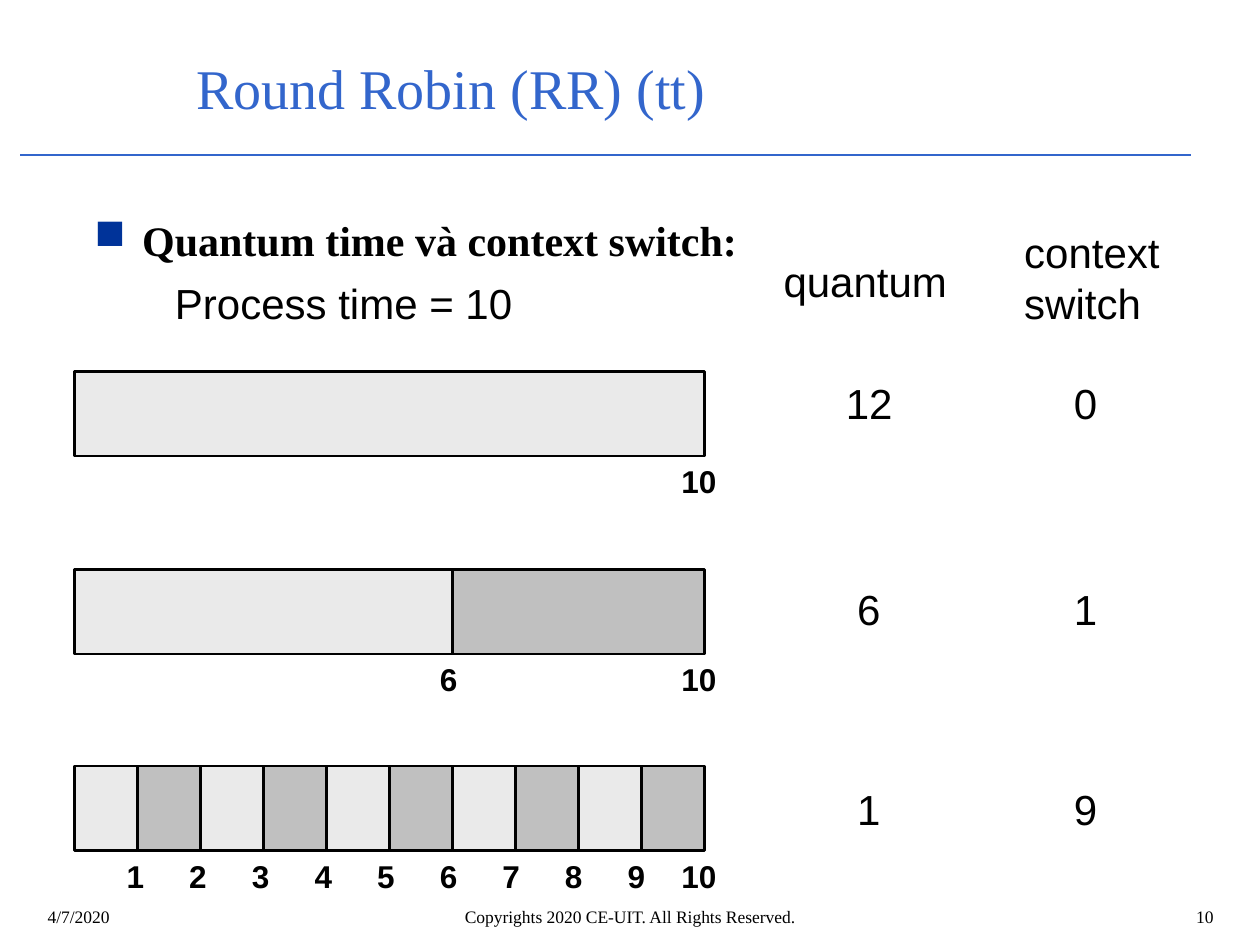
import dataclasses
import typing

import lxml.etree
import pptx
import pptx.dml.color
import pptx.enum.shapes
import pptx.enum.text
import pptx.oxml.ns
import pptx.util

Inches = pptx.util.Inches
Pt = pptx.util.Pt
PP_ALIGN = pptx.enum.text.PP_ALIGN

COLORS = {
    "ink": "000000",
    "accent": "3366CC",
    "bullet": "003399",
    "light": "EAEAEA",
    "dark": "C0C0C0",
}
SERIF, SANS = "Times New Roman", "Arial"
BAR_LEFT, BAR_HEIGHT, UNIT = 0.59, 0.67, 0.5
LABEL_ORIGIN, LABEL_PITCH = 0.58, 0.497
QUANTUM_CENTER, SWITCH_CENTER = 6.9, 8.62
VALUE_WIDTHS = {1: 0.39, 2: 0.57}
LABEL_WIDTHS = {1: 0.34, 2: 0.48}


@dataclasses.dataclass
class Schedule:
    """One process bar with its slice ends, quantum and switch count."""

    bar_top: float
    value_top: float
    ends: typing.Sequence[int]
    quantum: int
    switches: int


@dataclasses.dataclass
class Style:
    """Look of a text box."""

    size: int
    font: str = SANS
    color: str = "ink"
    bold: bool = False
    wrap: bool = False
    align: PP_ALIGN = PP_ALIGN.LEFT


TITLE = Style(32, SERIF, "accent", wrap=True)
HEADING = Style(24, SERIF, bold=True, wrap=True, align=PP_ALIGN.JUSTIFY)
VALUE = Style(24)
LABEL = Style(18, bold=True)
FOOTER = Style(10, SERIF, wrap=True)

SCHEDULES = [
    Schedule(2.95, 2.95, [10], 12, 0),
    Schedule(4.52, 4.58, [6, 10], 6, 1),
    Schedule(6.08, 6.17, range(1, 11), 1, 9),
]


def rgb(name: str) -> pptx.dml.color.RGBColor:
    """Look up a palette colour."""
    return pptx.dml.color.RGBColor.from_string(COLORS[name])


def add_text(slide, text: str, left: float, top: float, width: float, height: float, style: Style):
    """Add a styled text box and return its text frame."""
    box = slide.shapes.add_textbox(Inches(left), Inches(top), Inches(width), Inches(height))
    frame = box.text_frame
    frame.text = text
    frame.word_wrap = style.wrap
    if not style.wrap:
        frame.auto_size = pptx.enum.text.MSO_AUTO_SIZE.SHAPE_TO_FIT_TEXT
    for paragraph in frame.paragraphs:
        paragraph.alignment = style.align
        for run in paragraph.runs:
            run.font.size = Pt(style.size)
            run.font.name = style.font
            run.font.bold = style.bold
            run.font.color.rgb = rgb(style.color)
    return frame


def add_number(slide, number: int, center: float, top: float, height: float,
               widths: dict[int, float], style: Style) -> None:
    """Add a number centred on a horizontal position."""
    text = str(number)
    width = widths[len(text)]
    add_text(slide, text, center - width / 2, top, width, height, style)


def add_slice(slide, start: int, end: int, top: float, fill: str) -> None:
    """Add one time slice of a process bar."""
    block = slide.shapes.add_shape(
        pptx.enum.shapes.MSO_SHAPE.RECTANGLE,
        Inches(BAR_LEFT + start * UNIT), Inches(top),
        Inches((end - start) * UNIT), Inches(BAR_HEIGHT))
    block.shadow.inherit = False
    block.fill.solid()
    block.fill.fore_color.rgb = rgb(fill)
    block.line.color.rgb = rgb("ink")
    block.line.width = Pt(1.5)


def add_schedule(slide, schedule: Schedule) -> None:
    """Draw a process bar with its slice labels and values."""
    start = 0
    for index, end in enumerate(schedule.ends):
        add_slice(slide, start, end, schedule.bar_top, "dark" if index % 2 else "light")
        start = end
    for end in schedule.ends:
        add_number(slide, end, LABEL_ORIGIN + end * LABEL_PITCH,
                   schedule.bar_top + BAR_HEIGHT, 0.4, LABEL_WIDTHS, LABEL)
    for number, center in ((schedule.quantum, QUANTUM_CENTER), (schedule.switches, SWITCH_CENTER)):
        add_number(slide, number, center, schedule.value_top, 0.5, VALUE_WIDTHS, VALUE)


def add_heading(slide) -> None:
    """Add the bulleted heading."""
    frame = add_text(slide, "Quantum time và context switch:", 0.65, 1.45, 8.66, 5.64, HEADING)
    paragraph = frame.paragraphs[0]
    paragraph.line_spacing = 1.5
    properties = paragraph._p.get_or_add_pPr()
    properties.set("marL", str(Inches(0.38)))
    properties.set("indent", str(Inches(-0.38)))
    qn = pptx.oxml.ns.qn
    bullet_color = lxml.etree.SubElement(properties, qn("a:buClr"))
    lxml.etree.SubElement(bullet_color, qn("a:srgbClr"), val=COLORS["bullet"])
    lxml.etree.SubElement(properties, qn("a:buChar"), char="■")


def add_title(slide) -> None:
    """Add the title and the rule below it."""
    rule = slide.shapes.add_connector(
        pptx.enum.shapes.MSO_CONNECTOR.STRAIGHT,
        Inches(0.16), Inches(1.23), Inches(9.45), Inches(1.23))
    rule.line.color.rgb = rgb("accent")
    rule.line.width = Pt(0.75)
    lxml.etree.SubElement(rule._element.spPr, pptx.oxml.ns.qn("a:effectLst"))
    title = add_text(slide, "Round Robin (RR) (tt)", 1.46, 0.31, 8.04, 0.76, TITLE)
    title.vertical_anchor = pptx.enum.text.MSO_ANCHOR.MIDDLE


def add_footer(slide) -> None:
    """Add the date, page number and copyright line."""
    for text, left, width, align in (
        ("4/7/2020", 0.28, 2.33, PP_ALIGN.LEFT),
        ("10", 7.81, 1.92, PP_ALIGN.RIGHT),
        ("Copyrights 2020 CE-UIT. All Rights Reserved.", 1.93, 6.14, PP_ALIGN.CENTER),
    ):
        add_text(slide, text, left, 7.14, width, 0.32, dataclasses.replace(FOOTER, align=align))


def main() -> None:
    """Build and save the slide."""
    presentation = pptx.Presentation()
    presentation.slide_width = Inches(10)
    presentation.slide_height = Inches(7.5)
    slide = presentation.slides.add_slide(presentation.slide_layouts[6])
    add_title(slide)
    add_footer(slide)
    add_heading(slide)
    add_text(slide, "Process time = 10", 1.29, 2.15, 2.88, 0.5, VALUE)
    add_text(slide, "quantum", 6.12, 1.98, 1.59, 0.5, VALUE)
    add_text(slide, "context\nswitch", 8.03, 1.75, 1.28, 0.9, VALUE)
    for schedule in reversed(SCHEDULES):
        add_schedule(slide, schedule)
    presentation.save("out.pptx")


if __name__ == "__main__":
    main()
